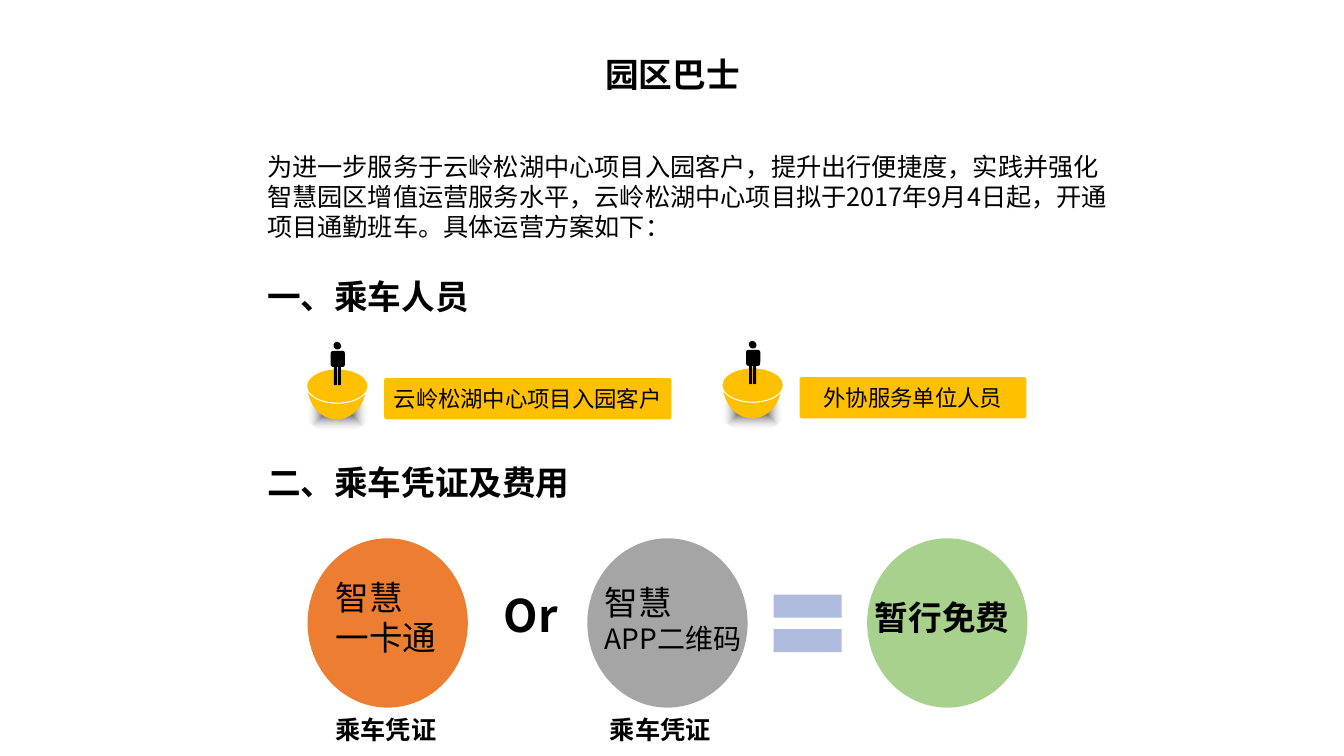
from math import cos, pi, sin

from pptx import Presentation
from pptx.dml.color import RGBColor
from pptx.enum.shapes import MSO_SHAPE
from pptx.enum.text import MSO_ANCHOR, PP_ALIGN
from pptx.oxml import parse_xml
from pptx.oxml.ns import qn
from pptx.util import Inches, Pt

OVAL = MSO_SHAPE.OVAL
ROUNDED = MSO_SHAPE.ROUNDED_RECTANGLE
EQUAL_SIGN = MSO_SHAPE.MATH_EQUAL
CENTER = PP_ALIGN.CENTER
LEFT = PP_ALIGN.LEFT
MIDDLE = MSO_ANCHOR.MIDDLE

BLACK = RGBColor(0x00, 0x00, 0x00)
WHITE = RGBColor(0xFF, 0xFF, 0xFF)
GOLD = RGBColor(0xFF, 0xC0, 0x00)
ORANGE = RGBColor(0xED, 0x7D, 0x31)
GRAY = RGBColor(0xA5, 0xA5, 0xA5)
GREEN = RGBColor(0xA9, 0xD1, 0x8E)
LAVENDER = RGBColor(0xB0, 0xBC, 0xDE)

FONT = "Noto Sans CJK SC"
SHADOW_FILL = """
<a:gradFill xmlns:a="http://schemas.openxmlformats.org/drawingml/2006/main" rotWithShape="1">
  <a:gsLst>
    <a:gs pos="0"><a:srgbClr val="000000"><a:alpha val="60000"/></a:srgbClr></a:gs>
    <a:gs pos="100000"><a:srgbClr val="FFFFFF"><a:alpha val="0"/></a:srgbClr></a:gs>
  </a:gsLst>
  <a:path path="shape"><a:fillToRect l="50000" t="50000" r="50000" b="50000"/></a:path>
</a:gradFill>
"""

deck = Presentation()
deck.slide_width = Inches(13.33)
deck.slide_height = Inches(7.5)
page = deck.slides.add_slide(deck.slide_layouts[6])


def add_solid(kind, left, top, width, height, color):
    shape = page.shapes.add_shape(
        kind, Inches(left), Inches(top), Inches(width), Inches(height))
    shape.shadow.inherit = False
    shape.fill.solid()
    shape.fill.fore_color.rgb = color
    shape.line.fill.background()
    return shape


def write(shape, lines, wrap=True, align=LEFT):
    frame = shape.text_frame
    frame.word_wrap = wrap
    for index, (text, size, bold) in enumerate(lines):
        para = frame.add_paragraph() if index else frame.paragraphs[0]
        para.alignment = align
        span = para.add_run()
        span.text = text
        span.font.size = Pt(size)
        span.font.bold = bold
        span.font.name = FONT
        span.font.color.rgb = BLACK
        east_asian = span.font._element.makeelement(qn("a:ea"), {"typeface": FONT})
        span.font._element.append(east_asian)
    return frame


title_box = page.shapes.add_textbox(Inches(1.67), Inches(0.53), Inches(10), Inches(0.92))
title = write(title_box, [("园区巴士", 24, True)], align=CENTER)
title.paragraphs[0].line_spacing = 0.9
title.paragraphs[0].space_before = Pt(10)

intro_box = page.shapes.add_textbox(Inches(2.55), Inches(1.45), Inches(8.69), Inches(1.75))
intro = write(intro_box, [
    ("为进一步服务于云岭松湖中心项目入园客户，提升出行便捷度，实践并强化"
     "智慧园区增值运营服务水平，云岭松湖中心项目拟于2017年9月4日起，"
     "开通项目通勤班车。具体运营方案如下：", 18, False),
    ("一、乘车人员", 24, True),
])
intro.paragraphs[1].space_before = Pt(24)

riders = [
    (3.04, 3.39, 2.85, "云岭松湖中心项目入园客户"),
    (7.16, 3.38, 2.25, "外协服务单位人员"),
]
for left, top, label_width, label in riders:
    shadow = add_solid(OVAL, left, top + 0.55, 0.61, 0.34, BLACK)
    properties = shadow._element.spPr
    properties.replace(properties.find(qn("a:solidFill")), parse_xml(SHADOW_FILL))

    rim = top + 0.44
    arc = [(left + 0.3 + 0.29 * cos(pi * step / 40), rim + 0.33 * sin(pi * step / 40))
           for step in range(41)]
    builder = page.shapes.build_freeform(
        Inches(arc[0][0]), Inches(arc[0][1]))
    builder.add_line_segments(
        [(Inches(x), Inches(y)) for x, y in arc[1:] + [(left + 0.01, top + 0.4)]])
    bowl = builder.convert_to_shape()
    bowl.shadow.inherit = False
    bowl.fill.solid()
    bowl.fill.fore_color.rgb = GOLD
    bowl.line.fill.background()

    lid = add_solid(OVAL, left, top + 0.27, 0.61, 0.34, GOLD)
    lid.line.color.rgb = WHITE
    lid.line.width = Pt(0.75)

    body_parts = [
        (0.16, 0.29, 0.25, 0.03, 90, 0.17),
        (0.2, 0.29, 0.25, 0.03, 90, 0.17),
        (0.24, 0.09, 0.14, 0.16, 180, 0.17),
        (0.27, 0, 0.07, 0.08, 135, 0.5),
    ]
    for dx, dy, width, height, angle, corner in body_parts:
        part = add_solid(ROUNDED, left + dx, top + dy, width, height, BLACK)
        part.rotation = angle
        part.adjustments[0] = corner

    plate = add_solid(ROUNDED, left + 0.77, top + 0.36, label_width, 0.41, GOLD)
    plate.adjustments[0] = 0.06
    write(plate, [(label, 16, False)], False, CENTER).vertical_anchor = MIDDLE

for index, color in enumerate([ORANGE, GRAY, GREEN]):
    add_solid(OVAL, 3.05 + 2.775 * index, 5.34, 1.59, 1.68, color)
add_solid(EQUAL_SIGN, 7.55, 5.7, 0.92, 0.97, LAVENDER)

texts = [
    (2.55, 4.53, 8.69, 0.5, [("二、乘车凭证及费用", 24, True)]),
    (3.23, 5.67, 1.64, 1.07, [("智慧", 24, False), ("一卡通", 24, False)]),
    (4.9, 5.78, 1.02, 0.64, [("Or", 32, True)]),
    (5.9, 5.72, 2.38, 0.99, [("智慧", 24, False), ("APP二维码", 20, False)]),
    (8.58, 5.87, 2.4, 0.59, [("暂行免费", 24, True)]),
    (3.23, 7.04, 1.34, 0.4, [("乘车凭证", 18, True)]),
    (5.95, 7.04, 1.34, 0.4, [("乘车凭证", 18, True)]),
]
for left, top, width, height, lines in texts:
    box = page.shapes.add_textbox(Inches(left), Inches(top), Inches(width), Inches(height))
    write(box, lines)

deck.save("out.pptx")
